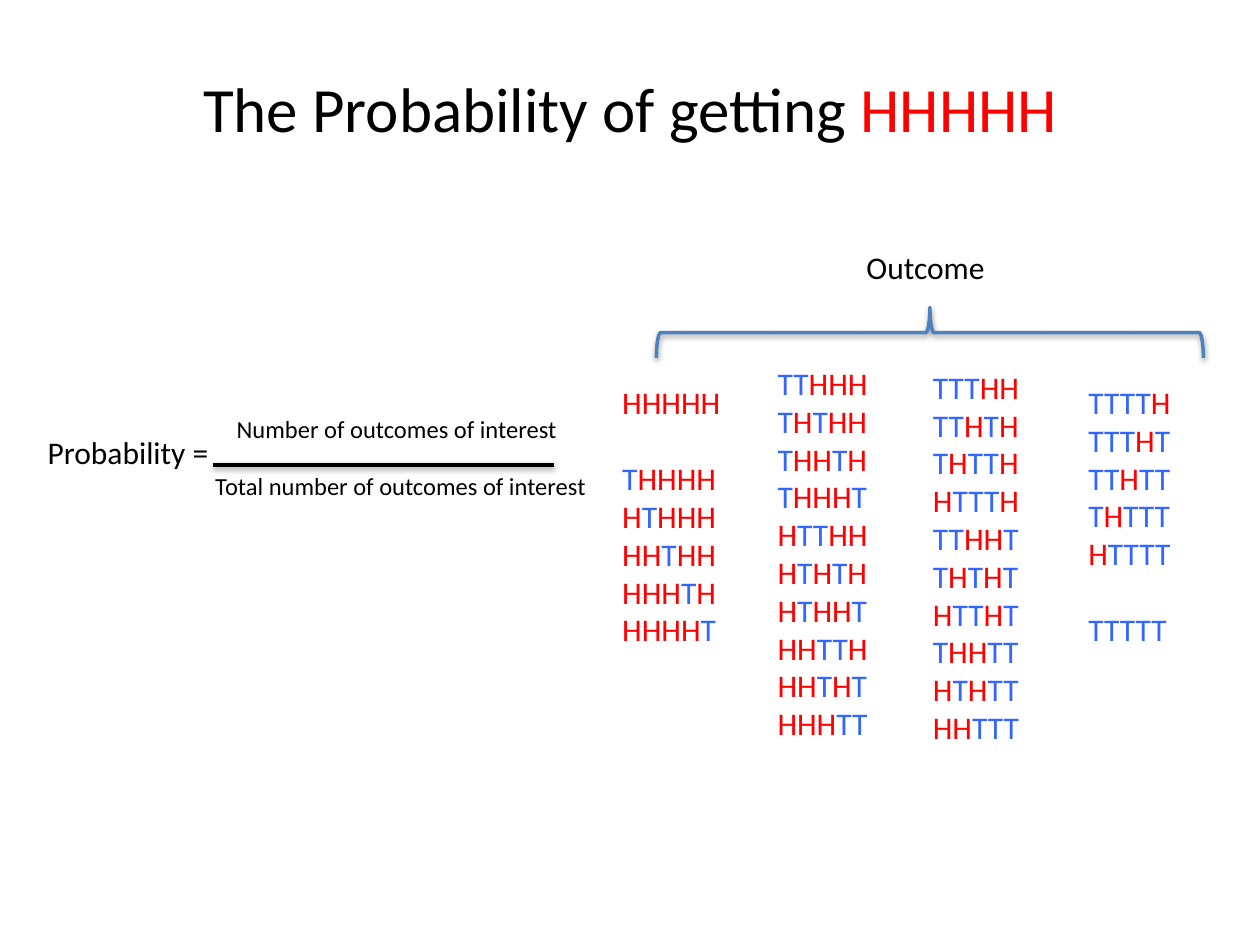
import itertools

import pptx
import pptx.dml.color
import pptx.enum.shapes
import pptx.enum.text
import pptx.oxml
import pptx.util
from pptx.util import Inches

COLORS = {"text": "000000", "H": "FF0000", "T": "3366FF", "brace": "4F81BD"}
ALIGN = pptx.enum.text.PP_ALIGN
SHADOW = (
    '<a:effectLst xmlns:a="http://schemas.openxmlformats.org/drawingml/2006/main">'
    '<a:outerShdw blurRad="40000" dist="20000" dir="5400000" rotWithShape="0">'
    '<a:srgbClr val="000000"><a:alpha val="38000"/></a:srgbClr>'
    "</a:outerShdw></a:effectLst>"
)


def add_text(left, top, width, height, lines, size, align=ALIGN.LEFT):
    """Add a text box; each line is a list of (text, colour name) pairs."""
    box = page.shapes.add_textbox(Inches(left), Inches(top), Inches(width), Inches(height))
    frame = box.text_frame
    frame.word_wrap = True
    for index, line in enumerate(lines):
        para = frame.paragraphs[0] if index == 0 else frame.add_paragraph()
        para.alignment = align
        para.font.name = "Calibri"
        para.font.size = pptx.util.Pt(size)
        for text, color in line:
            span = para.add_run()
            span.text = text
            span.font.color.rgb = pptx.dml.color.RGBColor.from_string(COLORS[color])
    return frame


def style_line(shape, color):
    """Give a shape a 2 pt line and a soft shadow below it."""
    shape.line.color.rgb = pptx.dml.color.RGBColor.from_string(COLORS[color])
    shape.line.width = pptx.util.Pt(2)
    shape._element.spPr.append(pptx.oxml.parse_xml(SHADOW))


deck = pptx.Presentation()
deck.slide_width, deck.slide_height = Inches(10), Inches(7.5)
page = deck.slides.add_slide(deck.slide_layouts[6])

# Title
title = add_text(0.5, 0.23, 9, 1.25,
                 [[("The Probability of getting ", "text"), ("HHHHH", "H")]], 36, ALIGN.CENTER)
title.vertical_anchor = pptx.enum.text.MSO_ANCHOR.MIDDLE

# Brace over the outcome columns
brace = page.shapes.add_shape(pptx.enum.shapes.MSO_SHAPE.LEFT_BRACE,
                              Inches(7.18), Inches(0.47), Inches(0.4), Inches(4.34))
brace.rotation = 90
brace.fill.background()
style_line(brace, "brace")
add_text(6.07, 1.92, 2.55, 0.4, [[("Outcome", "text")]], 18, ALIGN.CENTER)

# Outcome columns: top, height, outcomes
columns = [
    (2.99, 2.52, "HHHHH THHHH HTHHH HHTHH HHHTH HHHHT"),
    (2.84, 3.74, "TTHHH THTHH THHTH THHHT HTTHH HTHTH HTHHT HHTTH HHTHT HHHTT"),
    (2.87, 3.74, "TTTHH TTHTH THTTH HTTTH TTHHT THTHT HTTHT THHTT HTHTT HHTTT"),
    (2.99, 2.83, "TTTTH TTTHT TTHTT THTTT HTTTT TTTTT"),
]
for number, (top, height, outcomes) in enumerate(columns):
    words = outcomes.split()
    lines = [[("".join(group), face) for face, group in itertools.groupby(word)]
             for word in words]
    frame = add_text(4.84 + number * 1.233, top, 1.23, height, lines, 18)
    # Set the all-heads and all-tails outcomes one line apart
    for word, para in zip(words, frame.paragraphs):
        if word == "HHHHH":
            para.space_after = pptx.util.Pt(22)
        elif word == "TTTTT":
            para.space_before = pptx.util.Pt(22)

# Probability fraction
add_text(0.28, 3.39, 1.87, 0.4, [[("Probability =", "text")]], 18)
add_text(1.78, 3.24, 2.88, 0.34, [[("Number of outcomes of interest", "text")]], 14)
add_text(1.61, 3.69, 3.42, 0.34, [[("Total number of outcomes of interest", "text")]], 14)
fraction_bar = page.shapes.add_connector(pptx.enum.shapes.MSO_CONNECTOR.STRAIGHT,
                                         Inches(1.69), Inches(3.69), Inches(4.4), Inches(3.69))
style_line(fraction_bar, "text")

deck.save("out.pptx")
